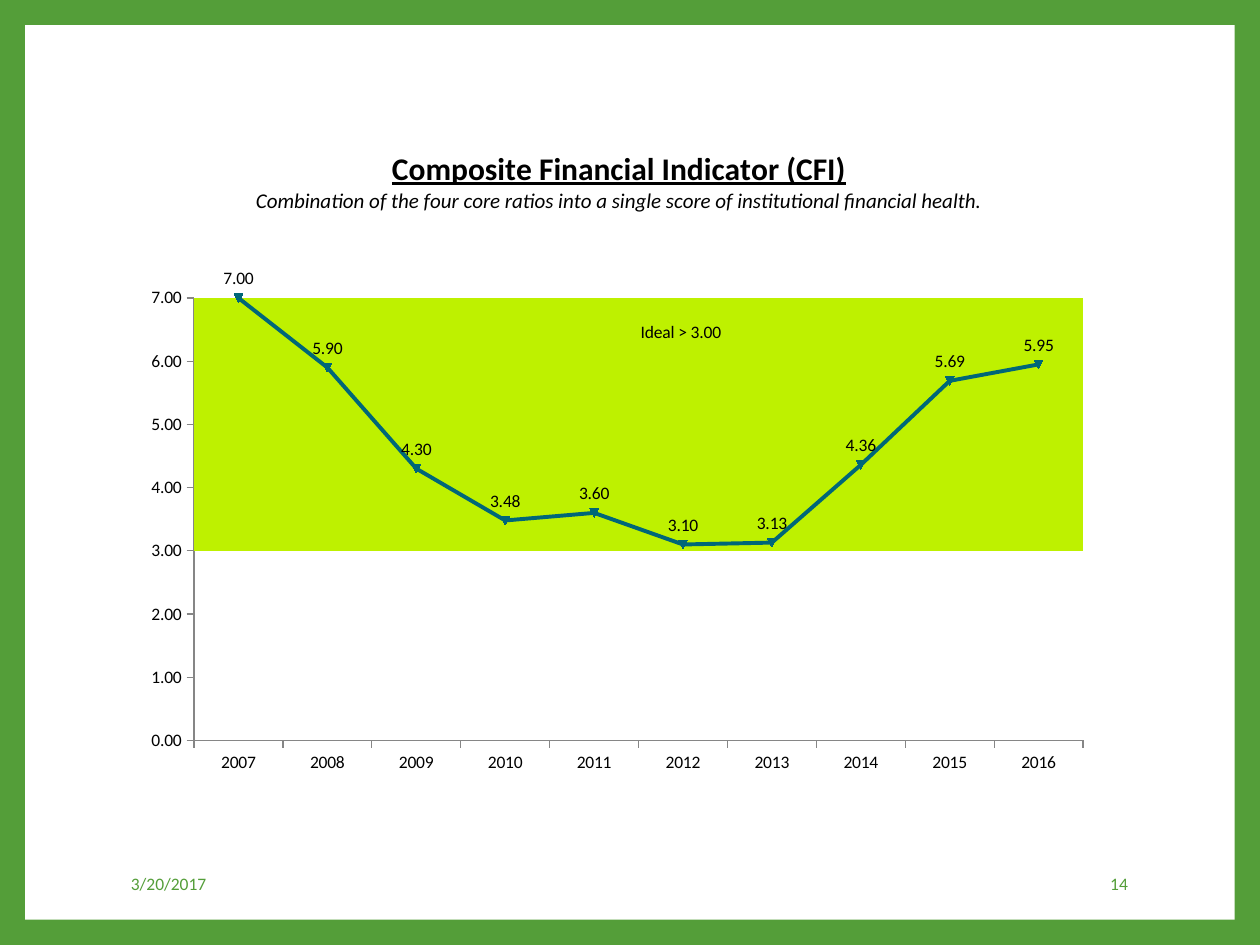
from dataclasses import dataclass
from lxml.etree import SubElement
from pptx import Presentation
from pptx.chart.data import CategoryChartData
from pptx.dml.color import RGBColor
from pptx.enum.chart import XL_CHART_TYPE, XL_LABEL_POSITION, XL_LEGEND_POSITION, XL_TICK_MARK
from pptx.enum.shapes import MSO_SHAPE
from pptx.enum.text import MSO_ANCHOR, PP_ALIGN
from pptx.oxml import parse_xml
from pptx.oxml.ns import nsdecls, qn
from pptx.util import Inches, Pt

YEARS = [str(year) for year in range(2007, 2017)]
SCORES = [7, 5.9, 4.3, 3.48, 3.6, 3.1, 3.13, 4.36, 5.69, 5.95]


def color(value):
    return RGBColor.from_string(value)


def remove_children(element, tag):
    for child in element.findall(qn(tag)):
        element.remove(child)


def layout_xml(left, top, width=None, height=None, inner=False):
    sizes = {"x": left, "y": top, "w": width, "h": height}
    target = '<c:layoutTarget val="inner"/>' if inner else ""
    modes = '<c:xMode val="edge"/><c:yMode val="edge"/>'
    values = "".join(f'<c:{key} val="{size}"/>' for key, size in sizes.items() if size is not None)
    return parse_xml(f'<c:layout {nsdecls("c")}><c:manualLayout>{target}{modes}{values}'
                     "</c:manualLayout></c:layout>")


@dataclass
class SlideBuilder:
    """Holds the style and the slide, and places elements by shares of its size."""
    presentation: object
    slide: object = None
    font: str = "Calibri"
    green: str = "549E39"
    lime: str = "BEF100"
    teal: str = "006778"
    gray: str = "868686"

    def add_slide(self):
        self.slide = self.presentation.slides.add_slide(self.presentation.slide_layouts[6])
        fill = self.slide.background.fill
        fill.solid()
        fill.fore_color.rgb = color(self.green)

    def box(self, left, top, width, height):
        across, down = self.presentation.slide_width, self.presentation.slide_height
        return [int(length) for length in (left * across, top * down, width * across, height * down)]

    def style(self, font, size, hex_color="000000", bold=False):
        font.name, font.size, font.bold = self.font, Pt(size), bold
        font.color.rgb = color(hex_color)

    def panel(self, *box):
        shape = self.slide.shapes.add_shape(MSO_SHAPE.RECTANGLE, *self.box(*box))
        shape.shadow.inherit = False
        shape.fill.solid()
        shape.fill.fore_color.rgb = color("FFFFFF")
        shape.line.fill.background()

    def footer(self, text, alignment, *box):
        frame = self.slide.shapes.add_textbox(*self.box(*box)).text_frame
        frame.word_wrap = True
        frame.vertical_anchor = MSO_ANCHOR.MIDDLE
        paragraph = frame.paragraphs[0]
        paragraph.text, paragraph.alignment = text, alignment
        self.style(paragraph.font, 10, self.green)

    def title(self, chart, heading, subtitle):
        frame = chart.chart_title.text_frame
        frame.text = heading
        self.style(frame.paragraphs[0].font, 18, bold=True)
        frame.paragraphs[0].font.underline = True
        paragraph = frame.add_paragraph()
        paragraph.text = subtitle
        self.style(paragraph.font, 12)
        paragraph.font.italic = True
        title = chart.chart_title._element
        remove_children(title, "c:layout")
        title.find(qn("c:tx")).addnext(layout_xml(0.12, 0.04))

    def axis(self, axis):
        axis.has_major_gridlines = False
        axis.major_tick_mark = XL_TICK_MARK.OUTSIDE
        axis.minor_tick_mark = XL_TICK_MARK.NONE
        axis.format.line.color.rgb = color(self.gray)
        self.style(axis.tick_labels.font, 10)

    def legend(self, chart, hidden):
        chart.has_legend = True
        legend = chart.legend
        legend.position, legend.include_in_layout = XL_LEGEND_POSITION.TOP, False
        self.style(legend.font, 10)
        element = legend._element
        remove_children(element, "c:layout")
        position = element.find(qn("c:legendPos"))
        position.addnext(layout_xml(0.47, 0.3))
        for index in reversed(hidden):
            position.addnext(parse_xml(f'<c:legendEntry {nsdecls("c")}><c:idx val="{index}"/>'
                                       '<c:delete val="1"/></c:legendEntry>'))

    def line_from_last_series(self, chart):
        bars = chart._chartSpace.find(".//" + qn("c:barChart"))
        series = bars.findall(qn("c:ser"))[-1]
        remove_children(series, "c:invertIfNegative")
        lines = parse_xml(f'<c:lineChart {nsdecls("c")}><c:grouping val="standard"/>'
                          '<c:varyColors val="0"/></c:lineChart>')
        bars.addnext(lines)
        lines.append(series)
        SubElement(lines, qn("c:marker")).set("val", "1")
        for axis in bars.findall(qn("c:axId")):
            SubElement(lines, qn("c:axId")).set("val", axis.get("val"))
        return chart.plots[1].series[0]

    def band_chart(self, heading, subtitle, *box):
        data = CategoryChartData(number_format="0.00")
        data.categories = YEARS
        data.add_series("  ", [3] * len(YEARS))
        data.add_series("Ideal > 3.00", [6] * len(YEARS))
        data.add_series("Series 3", SCORES)
        chart = self.slide.shapes.add_chart(XL_CHART_TYPE.COLUMN_STACKED, *self.box(*box), data).chart
        self.style(chart.font, 10)
        self.title(chart, heading, subtitle)
        self.axis(chart.category_axis)
        self.axis(chart.value_axis)
        chart.value_axis.minimum_scale, chart.value_axis.maximum_scale = 0, 7
        chart.value_axis.major_unit = 1
        chart.value_axis.tick_labels.number_format = "0.00"
        chart.value_axis.tick_labels.number_format_is_linked = False
        score = self.line_from_last_series(chart)
        bars = chart.plots[0]
        bars.gap_width, bars.overlap, bars.vary_by_categories = 0, 100, False
        base, ideal = bars.series
        base.format.fill.background()
        ideal.format.fill.solid()
        ideal.format.fill.fore_color.rgb = color(self.lime)
        score.smooth = False
        score.format.line.color.rgb = color(self.teal)
        score.format.line.width = Pt(2.25)
        score.marker.size = 5
        score.marker.format.fill.solid()
        score.marker.format.fill.fore_color.rgb = color(self.teal)
        score.marker.format.line.color.rgb = color(self.teal)
        labels = score.data_labels
        labels.show_value, labels.position = True, XL_LABEL_POSITION.ABOVE
        labels.number_format, labels.number_format_is_linked = "0.00", False
        self.style(labels.font, 10)
        self.legend(chart, [0, 2])
        plot_area = chart._chartSpace.find(".//" + qn("c:plotArea"))
        remove_children(plot_area, "c:layout")
        plot_area.insert(0, layout_xml(0.06, 0.27, 0.92, 0.66, inner=True))


def main():
    presentation = Presentation()
    presentation.slide_width, presentation.slide_height = Inches(10), Inches(7.5)
    builder = SlideBuilder(presentation)
    builder.add_slide()
    builder.panel(0.02, 0.2 / 7.5, 0.96, 7.1 / 7.5)
    builder.band_chart("Composite Financial Indicator (CFI)",
                       "Combination of the four core ratios into a single score of "
                       "institutional financial health.",
                       0.108, 0.93 / 7.5, 0.767, 5.32 / 7.5)
    builder.footer("3/20/2017", PP_ALIGN.LEFT, 0.094, 6.81 / 7.5, 0.191, 0.4 / 7.5)
    builder.footer("14", PP_ALIGN.RIGHT, 0.765, 6.81 / 7.5, 0.14, 0.4 / 7.5)
    presentation.save("out.pptx")


if __name__ == "__main__":
    main()
